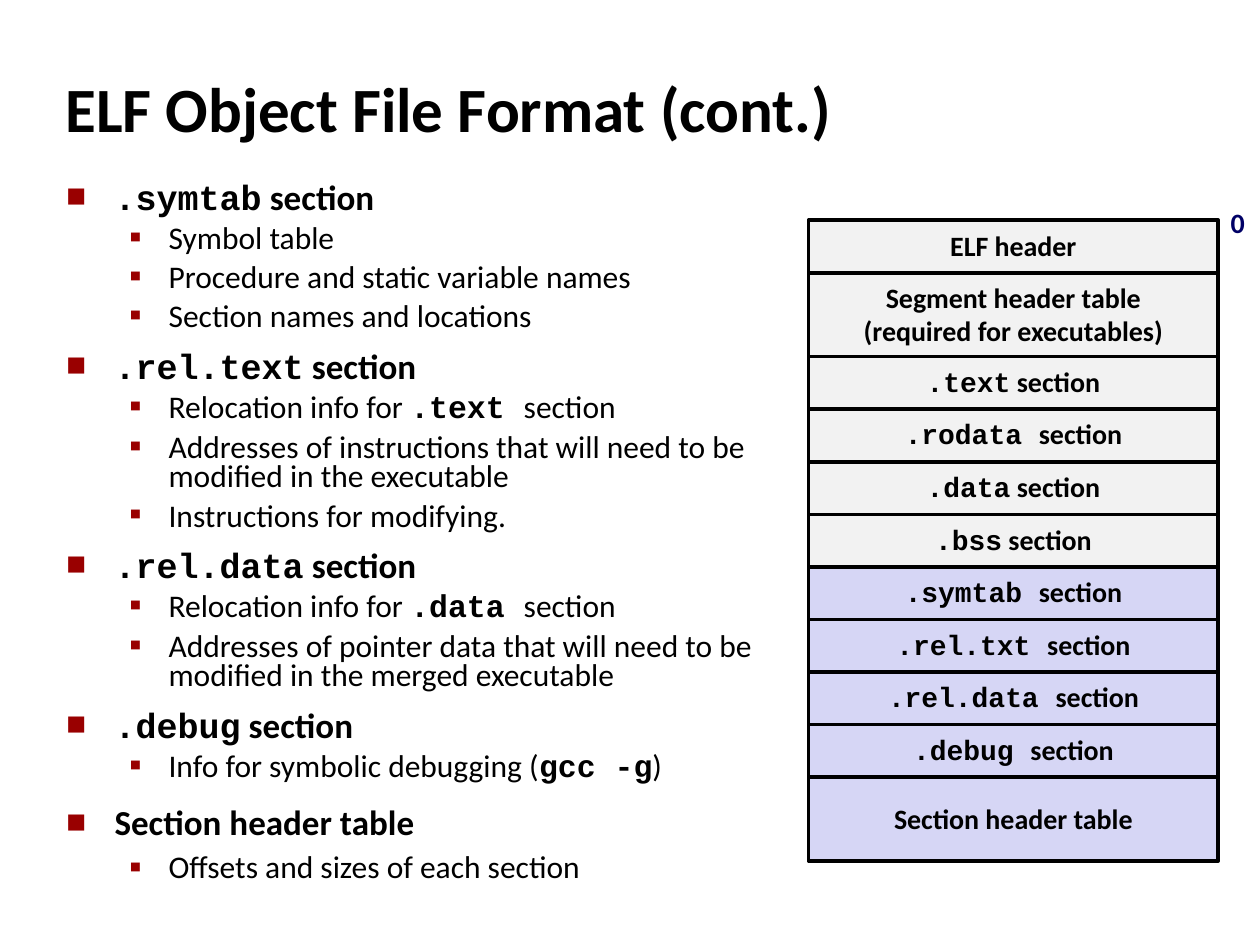
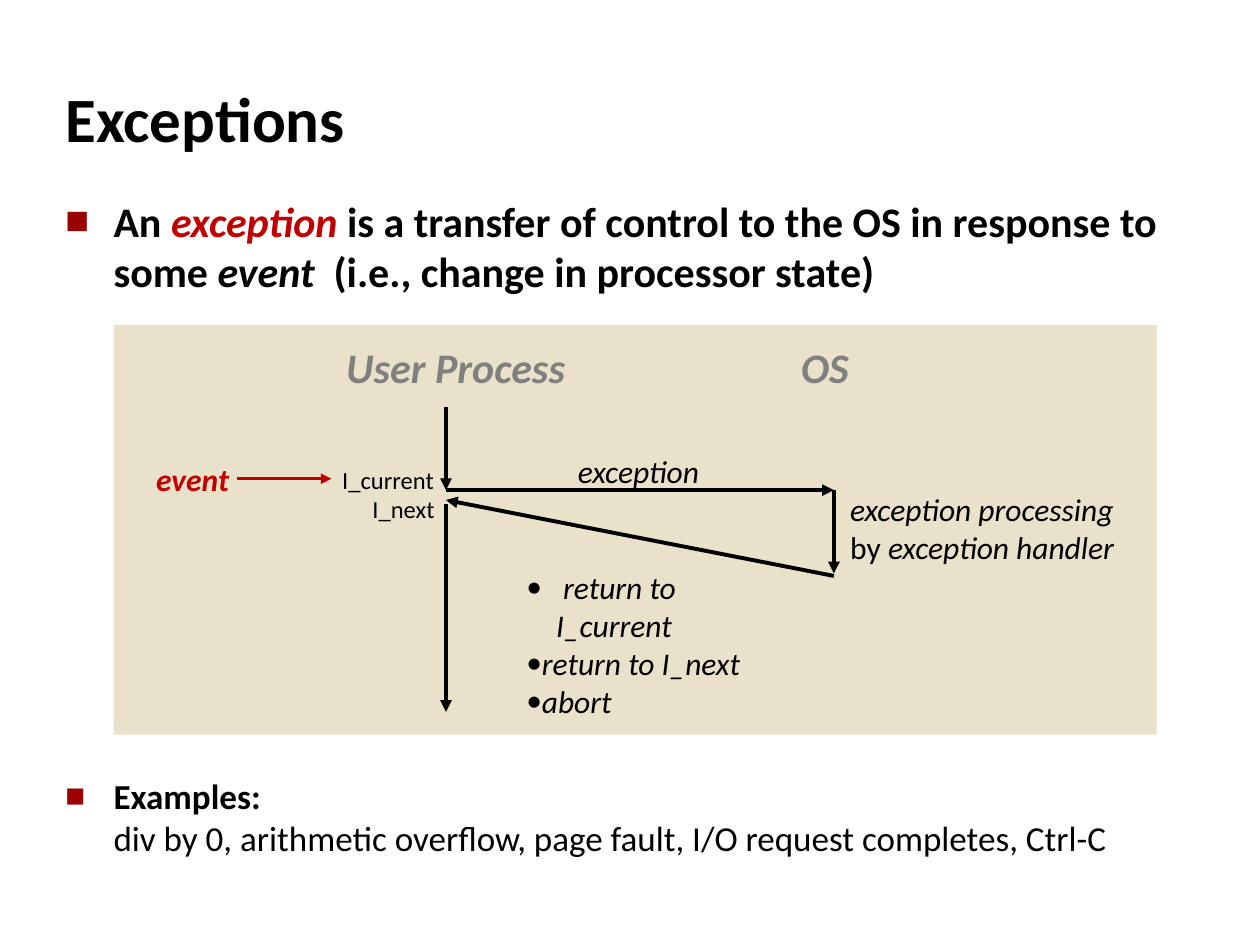
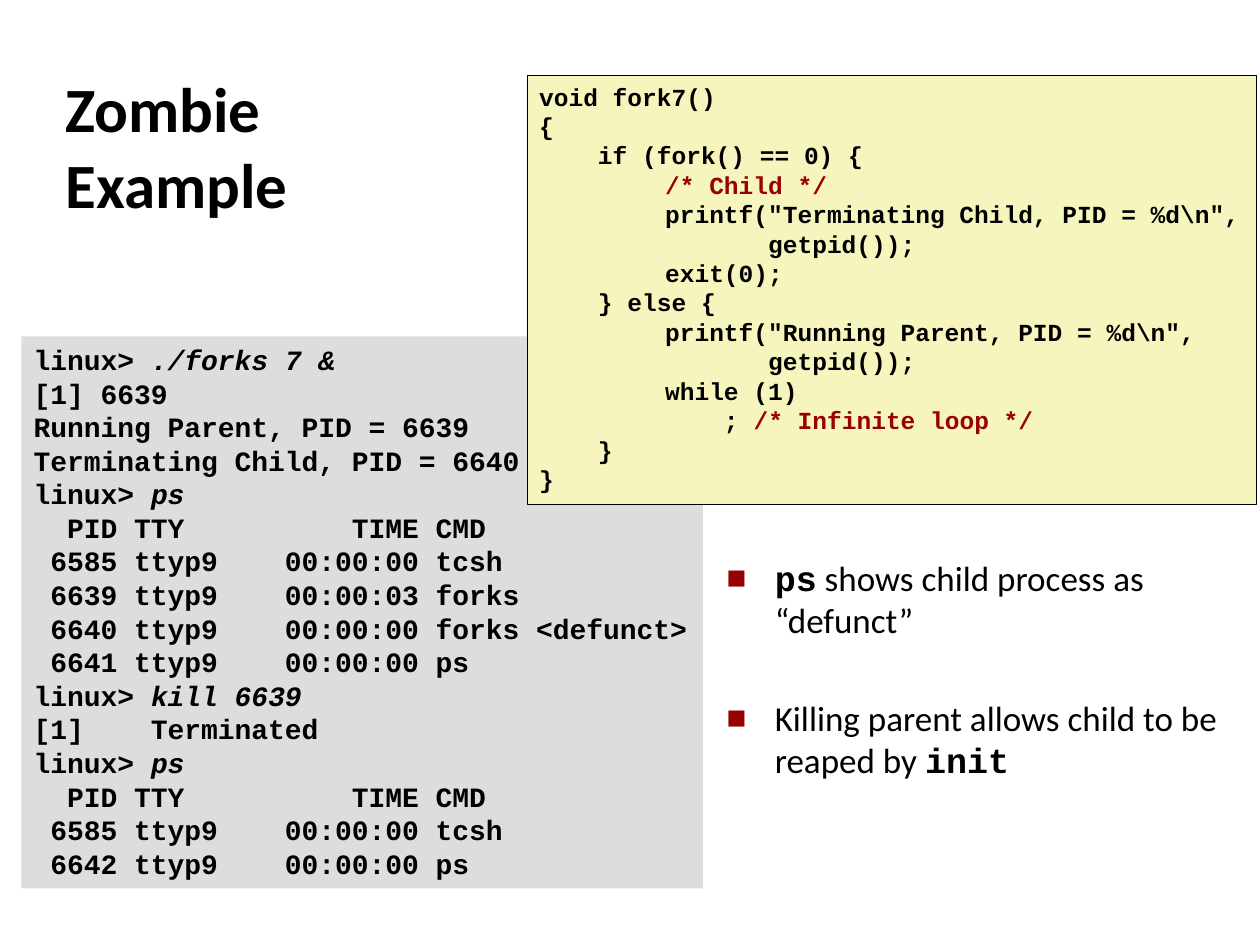
from lxml.etree import SubElement
from pptx import Presentation
from pptx.dml.color import RGBColor
from pptx.enum.shapes import MSO_CONNECTOR as Connector, MSO_SHAPE as Shape
from pptx.enum.text import MSO_ANCHOR as Anchor, PP_ALIGN as Align
from pptx.oxml.ns import qn
from pptx.util import Cm, Pt

BLACK, RED, DARK_RED, GREY, NAVY = "000000", "C00000", "990000", "808080", "000066"
LOADED, UNLOADED, SAND = "F2F2F2", "D6D6F5", "E9E1C9"
CONSOLE_GREY, CODE_YELLOW = "DDDDDD", "F6F5BD"
BOLD, PLAIN = {"bold": True}, {"bold": False}
ITALIC = {"italic": True}
MONO = {"name": "Courier New", "bold": True}
SQUARE = {"char": "■", "scale": 60, "color": DARK_RED, "left": 0.97, "hang": 0.97}
SMALL_SQUARE = {"char": "▪", "scale": 110, "color": DARK_RED, "left": 2.06, "hang": 0.79}
DOT = {"char": "•", "scale": 100, "color": BLACK, "left": 0.3, "hang": 0.3}
WIDE_DOT = {**DOT, "left": 0.6, "hang": 0.6}


def rgb(code):
    return RGBColor.from_string(code)


class Deck:
    font = "Calibri"
    title_size = 36

    def __init__(self):
        self.prs = Presentation()
        self.prs.slide_width, self.prs.slide_height = Cm(25.4), Cm(19.05)
        self.slide = None

    def new_slide(self, title, box, anchor=Anchor.MIDDLE):
        self.slide = self.prs.slides.add_slide(self.prs.slide_layouts[6])
        frame = self.text_box(box, anchor=anchor)
        self.paragraph(frame, [title], self.title_size, bold=True)

    def text_box(self, box, wrap=True, anchor=Anchor.TOP):
        frame = self.slide.shapes.add_textbox(*map(Cm, box)).text_frame
        frame.word_wrap = wrap
        frame.vertical_anchor = anchor
        return frame

    def label(self, box, text, size, **style):
        self.paragraph(self.text_box(box, wrap=False), [text], size, **style)

    def rectangle(self, box, fill, border=None, anchor=Anchor.TOP):
        shape = self.slide.shapes.add_shape(Shape.RECTANGLE, *map(Cm, box))
        shape.shadow.inherit = False
        shape.fill.solid()
        shape.fill.fore_color.rgb = rgb(fill)
        if border:
            shape.line.color.rgb = rgb(BLACK)
            shape.line.width = Pt(border)
        else:
            shape.line.fill.background()
        shape.text_frame.word_wrap = True
        shape.text_frame.vertical_anchor = anchor
        return shape.text_frame

    def arrow(self, start, end, color=BLACK, width=2.25):
        line = self.slide.shapes.add_connector(Connector.STRAIGHT, *map(Cm, start + end))
        line.line.color.rgb = rgb(color)
        line.line.width = Pt(width)
        SubElement(line.line._get_or_add_ln(), qn("a:tailEnd"), type="triangle")
        SubElement(line._element.spPr, qn("a:effectLst"))

    def bullet(self, paragraph, char, scale, color, left, hang):
        props = paragraph._p.get_or_add_pPr()
        props.set("marL", str(Cm(left)))
        props.set("indent", str(-Cm(hang)))
        SubElement(SubElement(props, qn("a:buClr")), qn("a:srgbClr"), val=color)
        SubElement(props, qn("a:buSzPct"), val=str(scale * 1000))
        SubElement(props, qn("a:buFont"), typeface=self.font)
        SubElement(props, qn("a:buChar"), char=char)

    def paragraph(self, frame, runs, size, bullet=None, tab=None, align=Align.LEFT,
                  spacing=None, before=0, color=BLACK, **style):
        first = frame.paragraphs[0]
        is_first = not first.runs
        paragraph = first if is_first else frame.add_paragraph()
        if bullet:
            self.bullet(paragraph, **bullet)
        if tab:
            stops = SubElement(paragraph._p.get_or_add_pPr(), qn("a:tabLst"))
            SubElement(stops, qn("a:tab"), pos=str(Cm(tab)), algn="l")
        paragraph.alignment = align
        paragraph.space_before = Pt(0 if is_first else before)
        if spacing:
            paragraph.line_spacing = spacing
        for item in runs:
            text, own = (item, {}) if isinstance(item, str) else item
            look = {"name": self.font, "color": color, **style, **own}
            for index, part in enumerate(text.split("\n")):
                if index:
                    paragraph.add_line_break()
                run = paragraph.add_run()
                run.text = part
                run.font.size = Pt(size)
                run.font.name = look["name"]
                run.font.bold = look.get("bold", False)
                run.font.italic = look.get("italic", False)
                run.font.color.rgb = rgb(look["color"])


OUTLINE = [
    ([(".symtab", MONO), " section"],
     [["Symbol table"], ["Procedure and static variable names"],
      ["Section names and locations"]]),
    ([(".rel.text", MONO), " section"],
     [["Relocation info for ", (".text ", MONO), "section"],
      ["Addresses of instructions that will need to be modified in the executable"],
      ["Instructions for modifying."]]),
    ([(".rel.data", MONO), " section"],
     [["Relocation info for ", (".data ", MONO), "section"],
      ["Addresses of pointer data that will need to be modified in the merged executable"]]),
    ([(".debug", MONO), " section"],
     [["Info for symbolic debugging (", ("gcc -g", MONO), ")"]]),
    (["Section header table"], [["Offsets and sizes of each section"]]),
]

ELF_LAYOUT = [
    (LOADED, [["ELF header"]]),
    (LOADED, [["Segment header table"], ["(required for executables)"]]),
    (LOADED, [[(".text", MONO), " section"]]),
    (LOADED, [[(".rodata ", MONO), "section"]]),
    (LOADED, [[(".data", MONO), " section"]]),
    (LOADED, [[(".bss", MONO), " section"]]),
    (UNLOADED, [[(".symtab ", MONO), "section"]]),
    (UNLOADED, [[(".rel.txt ", MONO), "section"]]),
    (UNLOADED, [[(".rel.data ", MONO), "section"]]),
    (UNLOADED, [[(".debug ", MONO), "section"]]),
    (UNLOADED, [["Section header table"]]),
]

CONSOLE = """linux> ./forks 7 &
[1] 6639
Running Parent, PID = 6639
Terminating Child, PID = 6640
linux> ps
  PID TTY          TIME CMD
 6585 ttyp9    00:00:00 tcsh
 6639 ttyp9    00:00:03 forks
 6640 ttyp9    00:00:00 forks <defunct>
 6641 ttyp9    00:00:00 ps
linux> kill 6639
[1]    Terminated
linux> ps
  PID TTY          TIME CMD
 6585 ttyp9    00:00:00 tcsh
 6642 ttyp9    00:00:00 ps"""

FORK_CODE = """void fork7()
{
    if (fork() == 0) {
\t/* Child */
\tprintf("Terminating Child, PID = %d\\n",
\t       getpid());
\texit(0);
    } else {
\tprintf("Running Parent, PID = %d\\n",
\t       getpid());
\twhile (1)
\t    ; /* Infinite loop */
    }
}"""


def elf_slide(deck):
    deck.new_slide("ELF Object File Format (cont.)", (1.07, 1.07, 24.2, 2.18))
    outline = deck.text_box((1.09, 3.63, 14.66, 15.19))
    for heading, details in OUTLINE:
        is_last = heading == OUTLINE[-1][0]
        deck.paragraph(outline, heading, 20, SQUARE, spacing=0.88 if is_last else 0.71,
                       before=12.5, bold=True)
        for detail in details:
            deck.paragraph(outline, detail, 18, SMALL_SQUARE,
                           spacing=0.88 if is_last else 0.78, before=5.6)

    top = 4.44
    for fill, lines in ELF_LAYOUT:
        is_table = "header table" in lines[0][0]
        height = 1.69 if is_table else 1.06
        section = deck.rectangle((16.3, top, 8.26, height), fill, 2, Anchor.MIDDLE)
        for line in lines:
            deck.paragraph(section, line, 16, align=Align.CENTER,
                           spacing=0.98 if len(line) == 1 else 0.94, bold=True)
        top += height
    deck.label((24.56, 4.01, 0.79, 0.94), "0", 16, color=NAVY, bold=True)


def exceptions_slide(deck):
    deck.new_slide("Exceptions", (1.07, 1.47, 9.32, 1.6), Anchor.TOP)
    deck.rectangle((2.29, 6.55, 21.03, 8.26), SAND)
    definition = deck.text_box((1.07, 3.81, 24.13, 2.6))
    deck.paragraph(definition, [
        "An ", ("exception", {"italic": True, "color": RED}),
        " is a transfer of control to the OS in response to some ",
        ("event", ITALIC), "  (i.e., change in processor state)"], 24, SQUARE, bold=True)
    examples = deck.text_box((1.07, 15.49, 24.13, 2))
    deck.paragraph(examples, [
        ("Examples:\n", BOLD),
        "div by 0, arithmetic overflow, page fault, I/O request completes, Ctrl-C"], 20, SQUARE)

    for left, width, owner in [(6.73, 5, "User Process"), (15.9, 1.5, "OS")]:
        deck.label((left, 6.76, width, 1.27), owner, 24, color=GREY, bold=True, italic=True)

    user_x, os_x, raised_y = 8.99, 16.81, 9.88
    deck.arrow((user_x, 8.2), (user_x, raised_y))
    deck.arrow((user_x, raised_y), (os_x, raised_y))
    deck.arrow((os_x, raised_y), (os_x, 11.56))
    deck.arrow((os_x, 11.61), (user_x, 10.08))
    deck.arrow((user_x, 10.16), (user_x, 14.35))
    deck.arrow((4.78, 9.65), (6.68, 9.65), RED, 2)

    deck.label((11.4, 8.99, 2.97, 1.02), "exception", 18, italic=True)
    deck.label((2.9, 9.14, 2.24, 1.02), "event", 18, color=RED, bold=True, italic=True)
    deck.label((6.65, 9.25, 2.41, 0.86), "I_current", 14)
    deck.label((7.26, 9.83, 1.8, 0.86), "I_next", 14)

    handler = deck.text_box((16.89, 9.75, 5.97, 2.57))
    deck.paragraph(handler, ["exception processing"], 18, italic=True)
    deck.paragraph(handler, ["by ", ("exception handler", ITALIC)], 18)
    outcomes = deck.text_box((10.36, 11.33, 5.69, 2.57))
    for outcome, dot in [(" return to I_current", WIDE_DOT), ("return to I_next", DOT),
                         ("abort", DOT)]:
        deck.paragraph(outcomes, [outcome], 18, dot, italic=True)


def zombie_slide(deck):
    deck.new_slide("Zombie\nExample", (1.07, 1.4, 5.56, 3.05))
    console = deck.rectangle((0.43, 6.78, 13.74, 11.13), CONSOLE_GREY)
    prompt = "linux> "
    for line in CONSOLE.split("\n"):
        is_command = line.startswith(prompt)
        runs = [prompt, (line[len(prompt):], ITALIC)] if is_command else [line]
        deck.paragraph(console, runs, 16, **MONO)

    notes = deck.text_box((14.4, 11.1, 11, 7.32))
    deck.paragraph(notes, [("ps", MONO), " shows child process as “defunct”"], 20, SQUARE)
    deck.paragraph(notes, ["Killing parent allows child to be reaped by ", ("init", MONO)],
                   20, SQUARE, before=32)

    code = deck.rectangle((10.62, 1.52, 14.71, 8.64), CODE_YELLOW, 0.25)
    for line in FORK_CODE.split("\n"):
        statement, mark, comment = line.partition("/*")
        runs = [statement]
        if mark:
            runs.append((mark + comment, {"color": DARK_RED}))
        deck.paragraph(code, runs, 14, tab=2.54, **MONO)


def main():
    deck = Deck()
    elf_slide(deck)
    exceptions_slide(deck)
    zombie_slide(deck)
    deck.prs.save("out.pptx")


if __name__ == "__main__":
    main()
